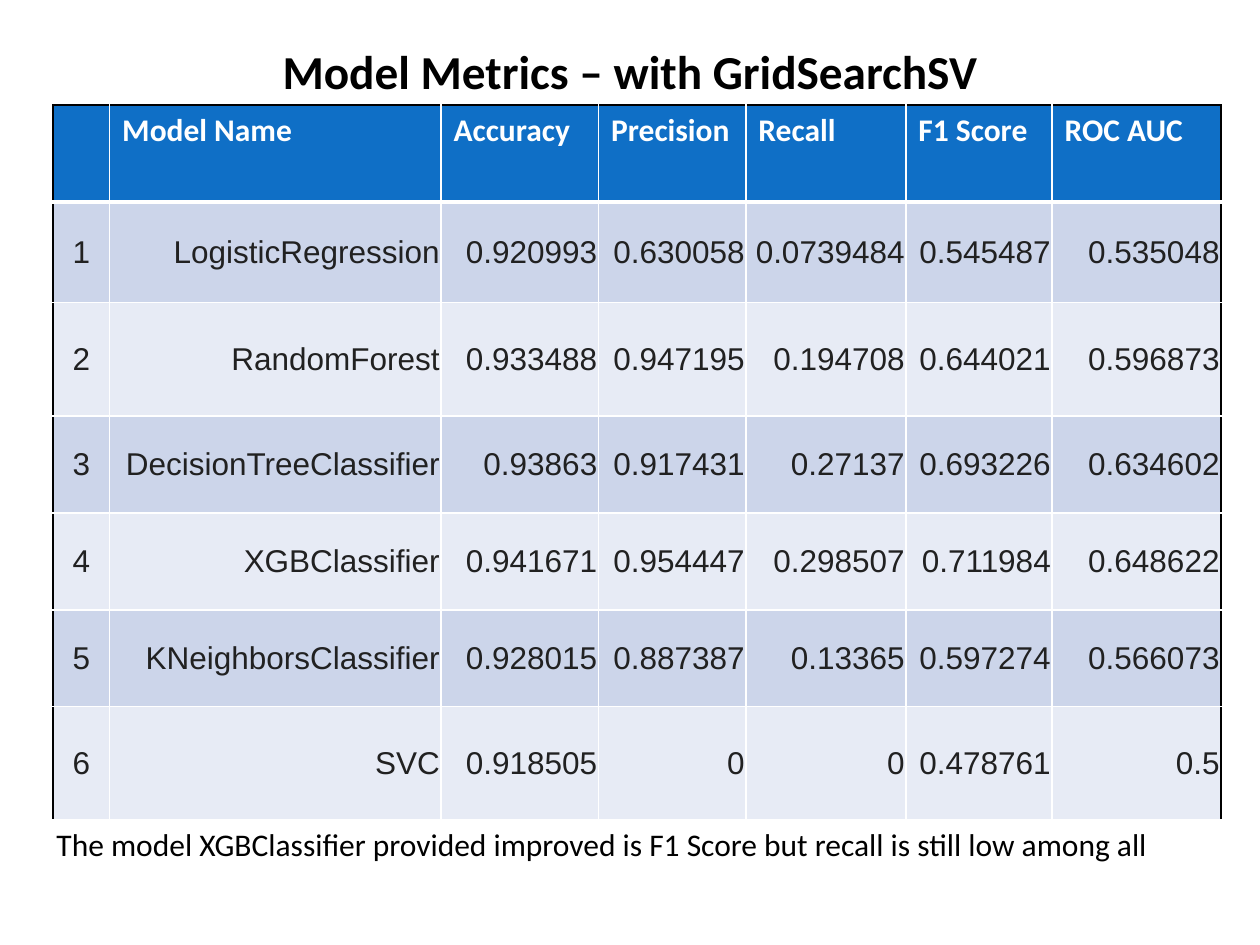
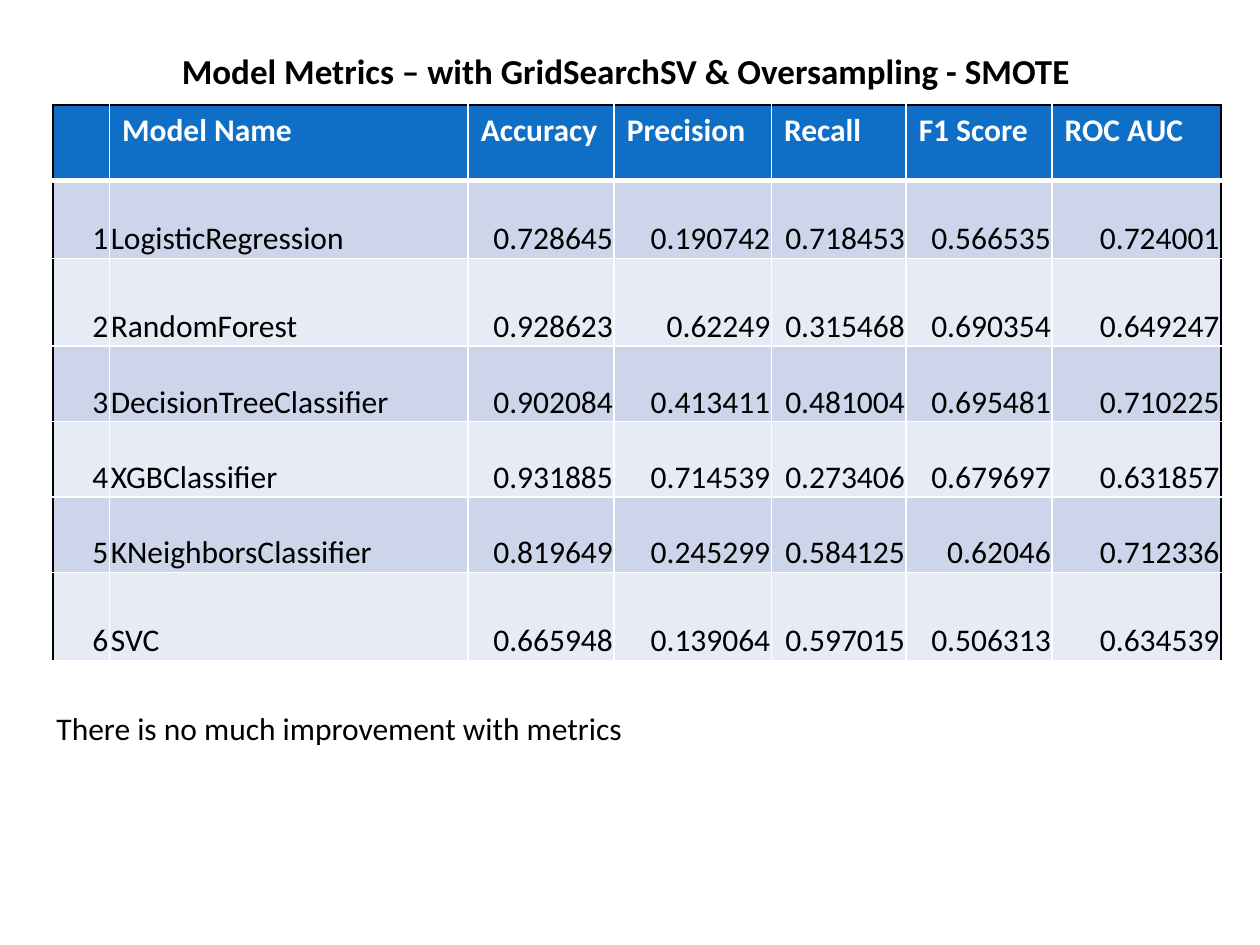
from dataclasses import dataclass
from lxml.etree import SubElement
from pptx import Presentation
from pptx.dml.color import RGBColor
from pptx.enum.text import MSO_ANCHOR, PP_ALIGN
from pptx.oxml.ns import qn
from pptx.util import Inches, Pt


@dataclass(frozen=True)
class Theme:
    header_fill: str = "0F6FC6"
    bands: tuple = ("CCD5EA", "E7EBF5")
    black: str = "000000"
    white: str = "FFFFFF"
    grey: str = "212121"
    font: str = "Calibri"
    number_font: str = "Arial"
    body_size: int = 18
    thin: int = 1
    thick: int = 3
    cell_inset: float = 0.01


@dataclass(frozen=True)
class MetricsStyle:
    title_size: int
    column_weights: tuple
    row_weights: tuple
    table_height: float
    note_top: float
    font: str
    color: str
    anchor: MSO_ANCHOR
    number_align: PP_ALIGN
    name_align: PP_ALIGN


THEME = Theme()
SLIDE_WIDTH, SLIDE_HEIGHT = Inches(10), Inches(7.5)
TABLE_LEFT, TABLE_TOP, TABLE_WIDTH = 4.2, 11.1, 92.7

HEADERS = ("", "Model Name", "Accuracy", "Precision", "Recall", "F1 Score", "ROC AUC")

TUNED_STYLE = MetricsStyle(
    title_size=27,
    column_weights=(45, 263, 125, 117, 127, 116, 134),
    row_weights=(77, 80, 90, 77, 77, 77, 90),
    table_height=75.7, note_top=86.7,
    font=THEME.number_font, color=THEME.grey, anchor=MSO_ANCHOR.MIDDLE,
    number_align=PP_ALIGN.CENTER, name_align=PP_ALIGN.RIGHT,
)
TUNED_SCORES = (
    ("LogisticRegression", "0.920993", "0.630058", "0.0739484", "0.545487", "0.535048"),
    ("RandomForest", "0.933488", "0.947195", "0.194708", "0.644021", "0.596873"),
    ("DecisionTreeClassifier", "0.93863", "0.917431", "0.27137", "0.693226", "0.634602"),
    ("XGBClassifier", "0.941671", "0.954447", "0.298507", "0.711984", "0.648622"),
    ("KNeighborsClassifier", "0.928015", "0.887387", "0.13365", "0.597274", "0.566073"),
    ("SVC", "0.918505", "0", "0", "0.478761", "0.5"),
)

OVERSAMPLED_STYLE = MetricsStyle(
    title_size=20,
    column_weights=(45, 285, 116, 125, 107, 116, 134),
    row_weights=(60, 62, 70, 60, 60, 60, 70),
    table_height=58.8, note_top=74.4,
    font=THEME.font, color=THEME.black, anchor=MSO_ANCHOR.BOTTOM,
    number_align=PP_ALIGN.RIGHT, name_align=PP_ALIGN.LEFT,
)
OVERSAMPLED_SCORES = (
    ("LogisticRegression", "0.728645", "0.190742", "0.718453", "0.566535", "0.724001"),
    ("RandomForest", "0.928623", "0.62249", "0.315468", "0.690354", "0.649247"),
    ("DecisionTreeClassifier", "0.902084", "0.413411", "0.481004", "0.695481", "0.710225"),
    ("XGBClassifier", "0.931885", "0.714539", "0.273406", "0.679697", "0.631857"),
    ("KNeighborsClassifier", "0.819649", "0.245299", "0.584125", "0.62046", "0.712336"),
    ("SVC", "0.665948", "0.139064", "0.597015", "0.506313", "0.634539"),
)


def place(left, top, width, height):
    return (int(SLIDE_WIDTH * left / 100), int(SLIDE_HEIGHT * top / 100),
            int(SLIDE_WIDTH * width / 100), int(SLIDE_HEIGHT * height / 100))


def write(text_frame, text, *, size=THEME.body_size, font=THEME.font,
          color=THEME.black, bold=False, align=PP_ALIGN.LEFT):
    paragraph = text_frame.paragraphs[0]
    paragraph.alignment = align
    run = paragraph.add_run()
    run.text = text
    run.font.size = Pt(size)
    run.font.name = font
    run.font.bold = bold
    run.font.color.rgb = RGBColor.from_string(color)


def add_text(slide, text, box, anchor=MSO_ANCHOR.TOP, **text_format):
    text_frame = slide.shapes.add_textbox(*place(*box)).text_frame
    text_frame.word_wrap = True
    text_frame.vertical_anchor = anchor
    write(text_frame, text, **text_format)


def add_borders(cell, **borders):
    properties = cell._tc.get_or_add_tcPr()
    for side in ("left", "right", "top", "bottom"):
        color, width = borders[side]
        line = SubElement(properties, qn(f"a:ln{side[0].upper()}"), w=str(Pt(width)))
        fill = SubElement(line, qn("a:solidFill"))
        SubElement(fill, qn("a:srgbClr"), val=color)


def style_cell(cell, row, column):
    inner = (THEME.white, THEME.thin)
    outer = (THEME.black, THEME.thin)
    header_rule = (THEME.white, THEME.thick)
    add_borders(
        cell,
        left=outer if column == 0 else inner,
        right=outer if column == len(HEADERS) - 1 else inner,
        top=outer if row == 0 else header_rule if row == 1 else inner,
        bottom=header_rule if row == 0 else inner,
    )
    color = THEME.bands[(row - 1) % 2] if row else THEME.header_fill
    cell.fill.solid()
    cell.fill.fore_color.rgb = RGBColor.from_string(color)


def fill_score_cell(cell, text, column, style):
    cell.margin_left = cell.margin_right = cell.margin_top = Inches(THEME.cell_inset)
    cell.margin_bottom = 0
    cell.vertical_anchor = style.anchor
    align = {0: style.number_align, 1: style.name_align}.get(column, PP_ALIGN.RIGHT)
    write(cell.text_frame, text, font=style.font, color=style.color, align=align)


def share_out(tracks, total, weights, dimension):
    for track, weight in zip(tracks, weights):
        setattr(track, dimension, int(total * weight / sum(weights)))


def add_metrics_table(slide, scores, style):
    box = place(TABLE_LEFT, TABLE_TOP, TABLE_WIDTH, style.table_height)
    table = slide.shapes.add_table(len(scores) + 1, len(HEADERS), *box).table
    share_out(table.columns, box[2], style.column_weights, "width")
    share_out(table.rows, box[3], style.row_weights, "height")
    numbered = [(str(number), *score) for number, score in enumerate(scores, 1)]
    for row, texts in enumerate([HEADERS, *numbered]):
        for column, text in enumerate(texts):
            cell = table.cell(row, column)
            style_cell(cell, row, column)
            if row:
                fill_score_cell(cell, text, column, style)
            elif text:
                write(cell.text_frame, text, color=THEME.white, bold=True)


def add_metrics_slide(presentation, title, scores, note, style):
    slide = presentation.slides.add_slide(presentation.slide_layouts[6])
    add_text(slide, title, (5, 4, 90, 7), MSO_ANCHOR.MIDDLE,
             size=style.title_size, bold=True, align=PP_ALIGN.CENTER)
    add_metrics_table(slide, scores, style)
    add_text(slide, note, (3.5, style.note_top, 93.3, 5.3))


def main():
    presentation = Presentation()
    presentation.slide_width, presentation.slide_height = SLIDE_WIDTH, SLIDE_HEIGHT
    add_metrics_slide(
        presentation, "Model Metrics – with GridSearchSV", TUNED_SCORES,
        "The model XGBClassifier provided improved is F1 Score but recall is still low among all",
        TUNED_STYLE)
    add_metrics_slide(
        presentation, "Model Metrics – with GridSearchSV & Oversampling - SMOTE ",
        OVERSAMPLED_SCORES, "There is no much improvement with metrics", OVERSAMPLED_STYLE)
    presentation.save("out.pptx")


if __name__ == "__main__":
    main()
